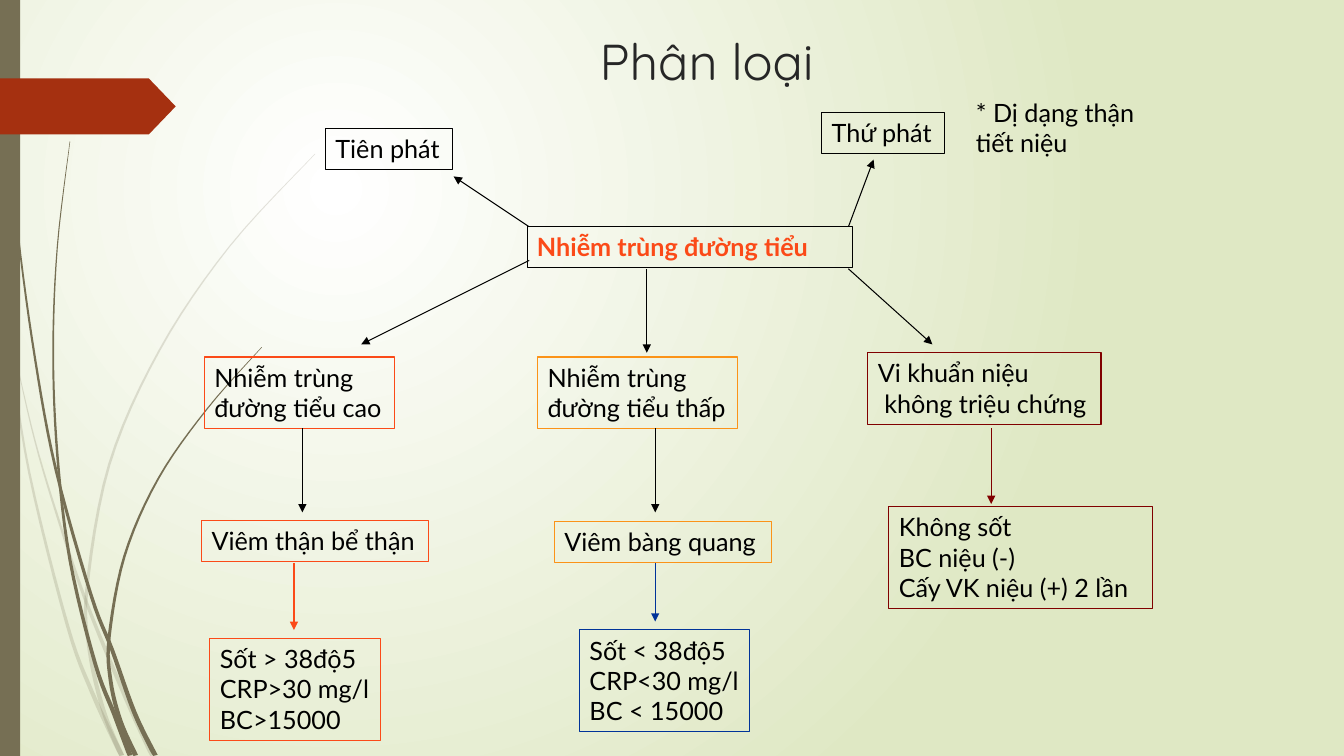
import math
from lxml import etree
from pptx import Presentation, util as u
from pptx.dml.color import RGBColor
from pptx.enum import shapes, text
from pptx.oxml.ns import qn

COLOURS = {
    "white": "FFFFFF", "pale": "DFE8C4", "olive": "766F54", "rust": "A53010",
    "ink": "262626", "black": "000000", "red": "FB4A18", "orange": "FB9318",
    "maroon": "800000", "blue": "003399",
}

BOXES = [
    (376.5, 162, 232.5, "black", ["Nhiễm trùng đường tiểu"], {"bold": True}, "red"),
    (144, 372, 162, "red", ["Viêm thận bể thận"]),
    (396, 372.5, 155, "orange", ["Viêm bàng quang"]),
    (620, 252, 166.5, "maroon", ["Vi khuẩn niệu", " không triệu chứng"]),
    (146, 255, 135.5, "red", ["Nhiễm trùng", "đường tiểu cao"]),
    (384, 255, 143, "orange", ["Nhiễm trùng", "đường tiểu thấp"]),
    (150, 456, 121.5, "red", ["Sốt > 38độ5", "CRP>30 mg/l", "BC>15000"]),
    (414, 450, 121.5, "blue", ["Sốt < 38độ5", "CRP<30 mg/l", "BC < 15000"]),
    (635, 362, 188, "maroon", ["Không sốt", "BC niệu (-)", "Cấy VK niệu (+) 2 lần"]),
    (232.5, 92, 90.5, "black", ["Tiên phát"]),
    (587, 80.5, 88, "black", ["Thứ phát"]),
    (690, 66, 138.5, None, ["* Dị dạng thận", "tiết niệu"]),
]

ARROWS = [
    (462, 192, 462, 252, "black"), (378, 186, 258, 246, "black"),
    (606, 192, 666, 246, "black"), (216, 306, 216, 366, "black"),
    (468, 306, 468, 366, "black"), (210, 402, 210, 450, "red"),
    (468, 402, 468, 444, "blue"), (708, 306, 708, 360, "maroon"),
    (378, 162, 324, 126, "black"), (606, 162, 624, 114, "black"),
]

PALE_STALKS = [
    [(0, 208), (7, 249), (21, 338), (48, 446), (66, 495), (87, 540)],
    [(10, 250), (25, 315), (43, 375), (62, 431), (90, 499), (109, 540)],
    [(225, 110), (164, 176), (114, 250), (78, 332), (62, 421), (64, 465), (74, 508), (87, 540)],
]
DARK_STALKS = [
    [(2.5, 0), (5, 78), (13, 168), (25, 256), (40, 336), (65, 425), (80, 464), (96, 509), (111, 540)],
    [(50, 101), (41, 176), (38, 251), (41, 325), (50, 400), (68, 474), (82, 511), (93, 540)],
    [(187, 248), (148, 292), (113, 342), (89, 397), (78, 455), (79, 486), (86, 515), (97, 540)],
]


def colour(name):
    return RGBColor.from_string(COLOURS[name])


def apply_format(target, values):
    for name, value in values.items():
        setattr(target, name, value)


def fill_plain(shape, name):
    shape.shadow.inherit = False
    shape.fill.solid()
    shape.fill.fore_color.rgb = colour(name)
    shape.line.fill.background()


def style_span(span, font, size, name, extra):
    apply_format(span.font, {"name": font, "size": u.Pt(size), **extra})
    span.font.color.rgb = colour(name)


def paint_background(page):
    fill = page.background.fill
    fill.gradient()
    for stop, name in zip(fill.gradient_stops, ("white", "pale")):
        stop.color.rgb = colour(name)
    gradient = page.background._cSld.find(".//" + qn("a:gradFill"))
    linear = gradient.find(qn("a:lin"))
    circle = etree.Element(qn("a:path"), {"path": "circle"})
    etree.SubElement(circle, qn("a:fillToRect"),
                     {"l": "50000", "t": "50000", "r": "100000", "b": "100000"})
    gradient.replace(linear, circle)


def smooth_curve(points, steps=6):
    padded = [points[0], *points, points[-1]]
    curve = []
    for a, b, c, d in zip(padded, padded[1:], padded[2:], padded[3:]):
        for step in range(steps):
            t = step / steps
            curve.append(tuple(
                q + t * (r - p) / 2 + t * t * (p - 2.5 * q + 2 * r - s / 2)
                + t ** 3 * (3 * q - 3 * r + s - p) / 2
                for p, q, r, s in zip(a, b, c, d)))
    return curve + [points[-1]]


def add_stalk(page, points, opacity, width=3.6):
    curve = smooth_curve(points)
    left, right = [], []
    for i, (x, y) in enumerate(curve):
        before, after = curve[max(i - 1, 0)], curve[min(i + 1, len(curve) - 1)]
        angle = math.atan2(after[1] - before[1], after[0] - before[0])
        half = width * (0.1 + 0.9 * i / (len(curve) - 1)) / 2
        dx, dy = -half * math.sin(angle), half * math.cos(angle)
        left.append((u.Pt(max(x + dx, 0)), u.Pt(min(max(y + dy, 0), 540))))
        right.append((u.Pt(max(x - dx, 0)), u.Pt(min(max(y - dy, 0), 540))))
    outline = left + right[::-1]
    builder = page.shapes.build_freeform(*outline[0])
    builder.add_line_segments(outline[1:], close=True)
    stalk = builder.convert_to_shape()
    fill_plain(stalk, "olive")
    if opacity < 100:
        shade = stalk._element.spPr.find(qn("a:solidFill"))[0]
        etree.SubElement(shade, qn("a:alpha"), {"val": str(opacity * 1000)})


def add_block(page, kind, left, top, width, height, name):
    block = page.shapes.add_shape(kind, *map(u.Pt, (left, top, width, height)))
    fill_plain(block, name)
    return block


def set_title(page, words):
    title = page.shapes.title
    apply_format(title, {"left": u.Pt(198), "top": u.Pt(18),
                         "width": u.Pt(613.5), "height": u.Pt(66)})
    apply_format(title.text_frame, {"auto_size": text.MSO_AUTO_SIZE.NONE,
                                    "vertical_anchor": text.MSO_ANCHOR.TOP})
    para = title.text_frame.paragraphs[0]
    para.alignment = text.PP_ALIGN.CENTER
    span = para.add_run()
    span.text = words
    style_span(span, "Quicksand", 36, "ink", {})


def add_box(page, left, top, width, border, lines, extra={}, ink="black"):
    height = 7.5 + 21.75 * len(lines)
    box = page.shapes.add_textbox(*map(u.Pt, (left, top, width, height)))
    if border:
        box.line.color.rgb = colour(border)
        box.line.width = u.Pt(0.75)
    frame = box.text_frame
    apply_format(frame, {"word_wrap": False,
                         "auto_size": text.MSO_AUTO_SIZE.SHAPE_TO_FIT_TEXT})
    for i, line in enumerate(lines):
        para = frame.add_paragraph() if i else frame.paragraphs[0]
        para.alignment = text.PP_ALIGN.LEFT
        span = para.add_run()
        span.text = line
        style_span(span, "Lato", 18, ink, extra)


def add_arrow(page, x1, y1, x2, y2, name):
    arrow = page.shapes.add_connector(shapes.MSO_CONNECTOR.STRAIGHT,
                                      *map(u.Pt, (x1, y1, x2, y2)))
    arrow.line.color.rgb = colour(name)
    arrow.line.width = u.Pt(0.75)
    etree.SubElement(arrow.line._get_or_add_ln(), qn("a:tailEnd"), {"type": "triangle"})
    etree.SubElement(arrow._element.spPr, qn("a:effectLst"))


def main():
    deck = Presentation()
    apply_format(deck, {"slide_width": u.Pt(960), "slide_height": u.Pt(540)})
    page = deck.slides.add_slide(deck.slide_layouts[5])
    paint_background(page)
    for stalks, opacity in ((PALE_STALKS, 20), (DARK_STALKS, 100)):
        for points in stalks:
            add_stalk(page, points, opacity)
    add_block(page, shapes.MSO_SHAPE.RECTANGLE, 0, 0, 14.4, 540, "olive")
    pennant = add_block(page, shapes.MSO_SHAPE.PENTAGON, 0, 56, 125.5, 40, "rust")
    pennant.adjustments[0] = 0.48
    set_title(page, "Phân loại")
    for box in BOXES:
        add_box(page, *box)
    for arrow in ARROWS:
        add_arrow(page, *arrow)
    deck.save("out.pptx")


main()
